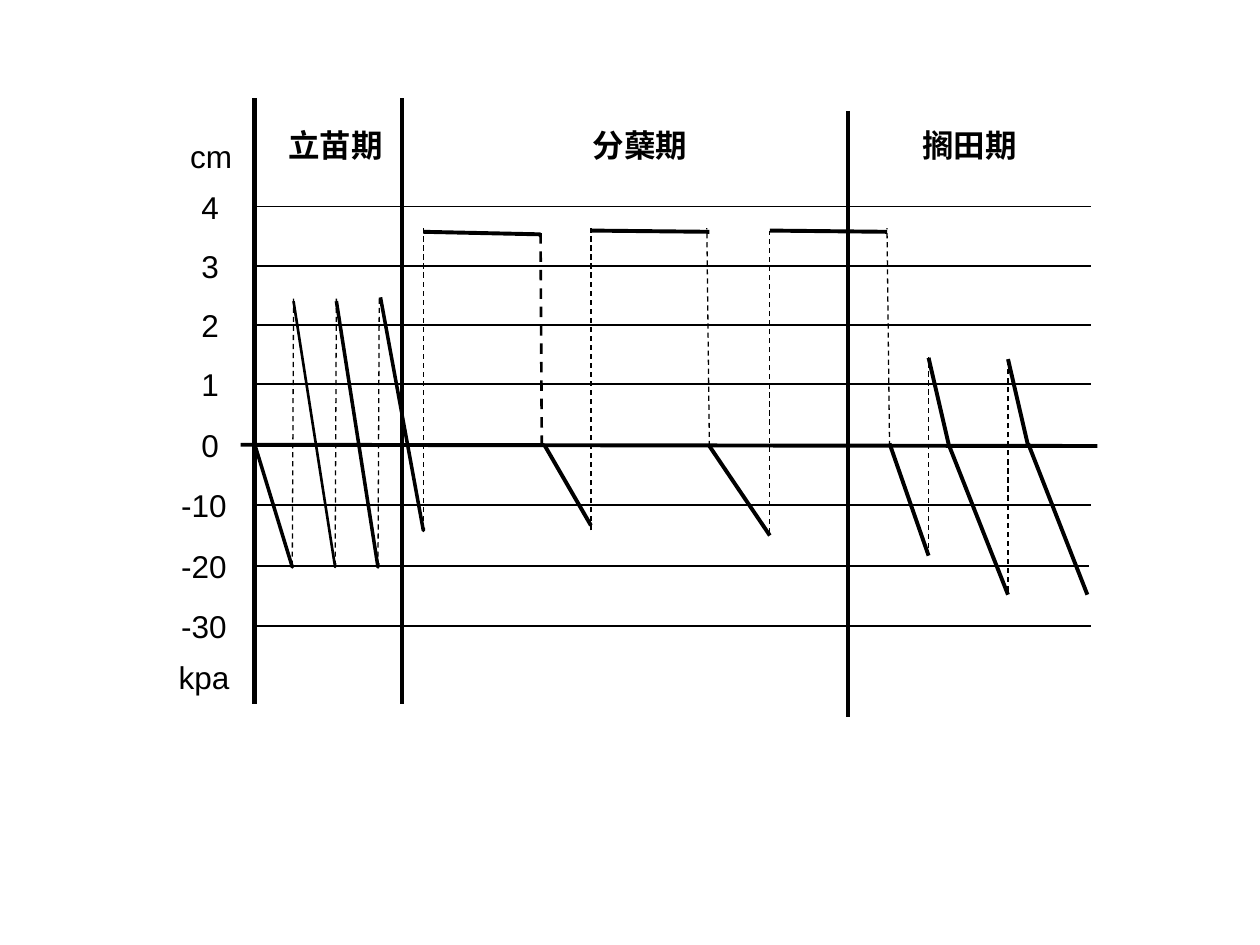
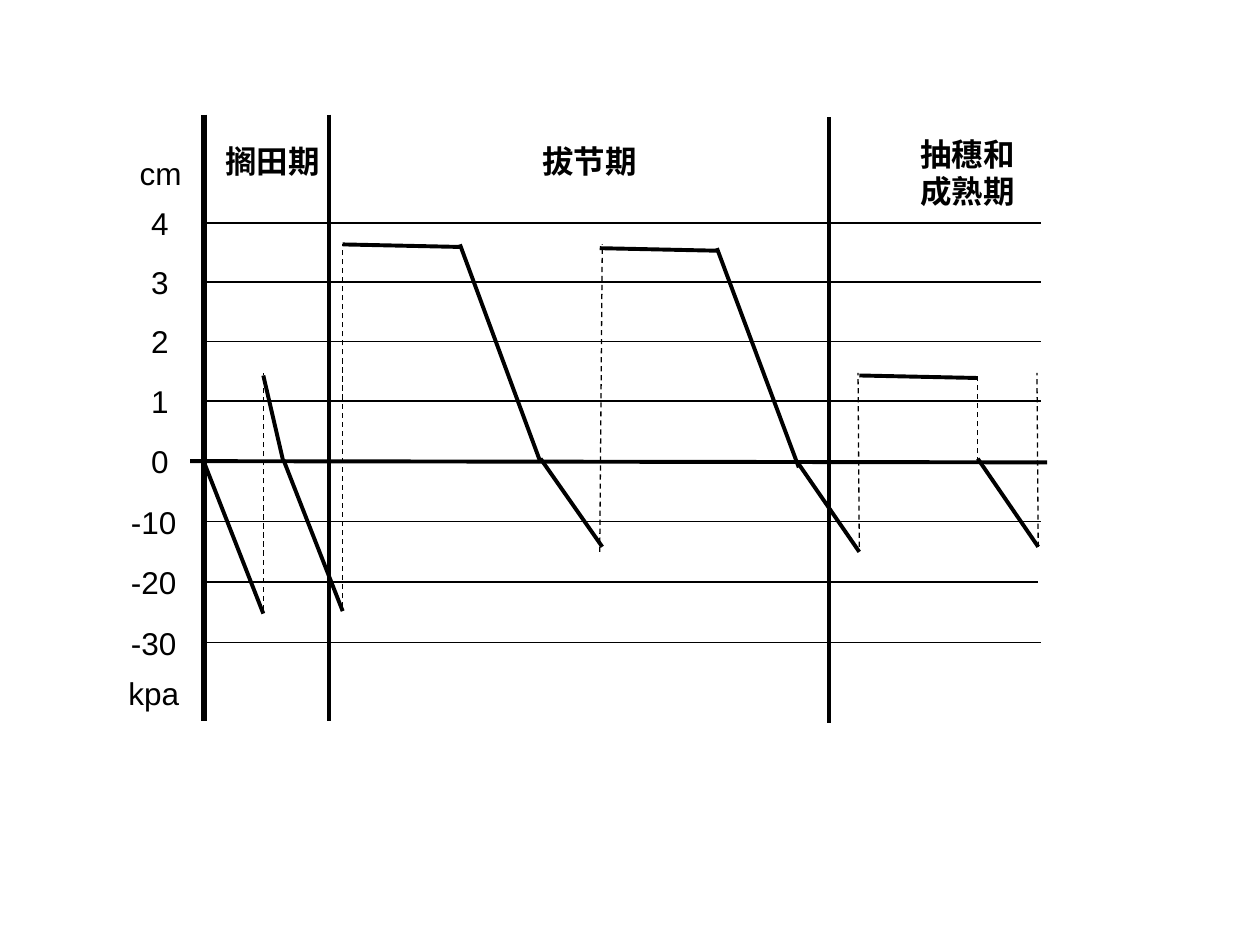
from lxml import etree
from pptx import Presentation
from pptx import util as u
from pptx.dml.color import RGBColor
from pptx.enum import dml, shapes, text
from pptx.oxml.ns import qn

PX = u.Inches(1) // 100
INK = "000000"
FONT = "Arial"
PLOT_WIDTH = 664
DIVIDER_HEIGHT = 481
LEVELS = {"4": 0, "3": 47, "2": 94, "1": 141, "0": 189,
          "-10": 237, "-20": 285, "-30": 333}

SEEDLING = {
    "origin": (202, 164),
    "dividers": [(319, 78), (673, 88)],
    "periods": [("立苗期", 219, 95, 97, 40, False),
                ("分蘖期", 454, 95, 108, 40, True),
                ("搁田期", 722, 95, 108, 40, False)],
    "refills": [(232, 449, 233, 236), (266, 449, 267, 236),
                (300, 449, 301, 236), (336, 421, 336, 181),
                (469, 421, 469, 181), (563, 354, 561, 181),
                (611, 423, 611, 183), (706, 354, 704, 181),
                (737, 435, 737, 283), (800, 469, 800, 283)],
    "water": [(336, 184, 429, 186), (432, 353, 469, 417),
              (469, 183, 563, 184), (563, 354, 611, 425),
              (611, 183, 704, 184), (706, 352, 737, 441),
              (737, 284, 753, 353), (753, 353, 800, 472),
              (800, 285, 816, 354), (816, 352, 863, 472)],
}

JOINTING = {
    "origin": (162, 177),
    "dividers": [(261, 91), (658, 93)],
    "periods": [("搁田期", 169, 108, 97, 40, False),
                ("拔节期", 414, 108, 108, 40, True),
                ("抽穗和成熟期", 714, 102, 108, 70, True)],
    "refills": [(209, 484, 209, 296), (272, 482, 272, 194),
                (476, 438, 478, 194), (682, 434, 681, 296),
                (776, 367, 776, 296), (824, 434, 823, 296)],
    "water": [(162, 367, 209, 487), (209, 298, 225, 367),
              (225, 365, 272, 485), (272, 194, 365, 196),
              (365, 194, 429, 367), (429, 364, 478, 434),
              (476, 197, 569, 199), (569, 197, 634, 371),
              (633, 367, 682, 438), (682, 298, 776, 300),
              (776, 364, 824, 434)],
}


def color(hex_code):
    return RGBColor.from_string(hex_code)


def style_line(line, weight, dashed=False):
    line.color.rgb = color(INK)
    line.width = u.Pt(weight)
    if dashed:
        line.dash_style = dml.MSO_LINE.DASH


def add_line(slide, ends, weight, dashed=False):
    stroke = slide.shapes.add_connector(
        shapes.MSO_CONNECTOR.STRAIGHT, *(v * PX for v in ends))
    style_line(stroke.line, weight, dashed)
    etree.SubElement(stroke._element.spPr, qn("a:effectLst"))


def add_drying_curve(slide, points, weight, filled=False):
    builder = slide.shapes.build_freeform(*points[0], scale=PX)
    builder.add_line_segments(points[1:], close=False)
    curve = builder.convert_to_shape()
    curve.shadow.inherit = False
    if filled:
        curve.fill.solid()
        curve.fill.fore_color.rgb = color(INK)
    else:
        curve.fill.background()
    style_line(curve.line, weight)


def add_label(slide, words, left, top, width, height=40,
              centred=False, bold=False):
    box = slide.shapes.add_textbox(
        *(v * PX for v in (left, top, width, height)))
    frame = box.text_frame
    frame.word_wrap = True
    frame.auto_size = text.MSO_AUTO_SIZE.SHAPE_TO_FIT_TEXT
    frame.text = words
    paragraph = frame.paragraphs[0]
    if centred:
        paragraph.alignment = text.PP_ALIGN.CENTER
    paragraph.font.name = FONT
    paragraph.font.size = u.Pt(18)
    paragraph.font.bold = bold
    paragraph.font.color.rgb = color(INK)


def add_axes(slide, left, top):
    zero = top + LEVELS["0"]
    add_line(slide, (left - 11, zero, left + 669, zero + 1), 2.25)
    add_line(slide, (left, top - 86, left, top - 86 + DIVIDER_HEIGHT), 3)
    for level, offset in LEVELS.items():
        y = top + offset
        if level != "0":
            shift = -2 if level == "-20" else 0
            weight = 0.75 if level == "2" else 1
            add_line(slide, (left + shift, y, left + shift + PLOT_WIDTH, y),
                     weight)
        if level.startswith("-"):
            add_label(slide, level, left - 68, y - 20, 57)
        else:
            add_label(slide, level, left - 52, y - 20, 42)
    add_label(slide, "cm", left - 61, top - 60, 59)
    add_label(slide, "kpa", left - 70, top + 353, 68)


def add_water_chart(deck, stage):
    slide = deck.slides.add_slide(deck.slide_layouts[6])
    add_axes(slide, *stage["origin"])
    for x, y in stage["dividers"]:
        add_line(slide, (x, y, x, y + DIVIDER_HEIGHT), 2.25)
    for words, left, top, width, height, centred in stage["periods"]:
        add_label(slide, words, left, top, width, height, centred, bold=True)
    for ends in stage["refills"]:
        add_line(slide, ends, 0.75, dashed=True)
    for ends in stage["water"]:
        add_line(slide, ends, 2.25)
    return slide


def main():
    deck = Presentation()
    deck.slide_width, deck.slide_height = 1000 * PX, 750 * PX
    seedling = add_water_chart(deck, SEEDLING)
    add_line(seedling, (430, 354, 429, 181), 1.5, dashed=True)
    add_drying_curve(seedling, [(202, 352), (232, 450), (232, 449)], 2)
    add_drying_curve(seedling, [(233, 239), (266, 450), (266, 447)], 1.5, True)
    add_drying_curve(seedling, [(267, 239), (300, 450), (300, 447)], 2)
    add_drying_curve(seedling, [(302, 236), (336, 421), (336, 419)], 2)
    add_water_chart(deck, JOINTING)
    deck.save("out.pptx")


if __name__ == "__main__":
    main()
